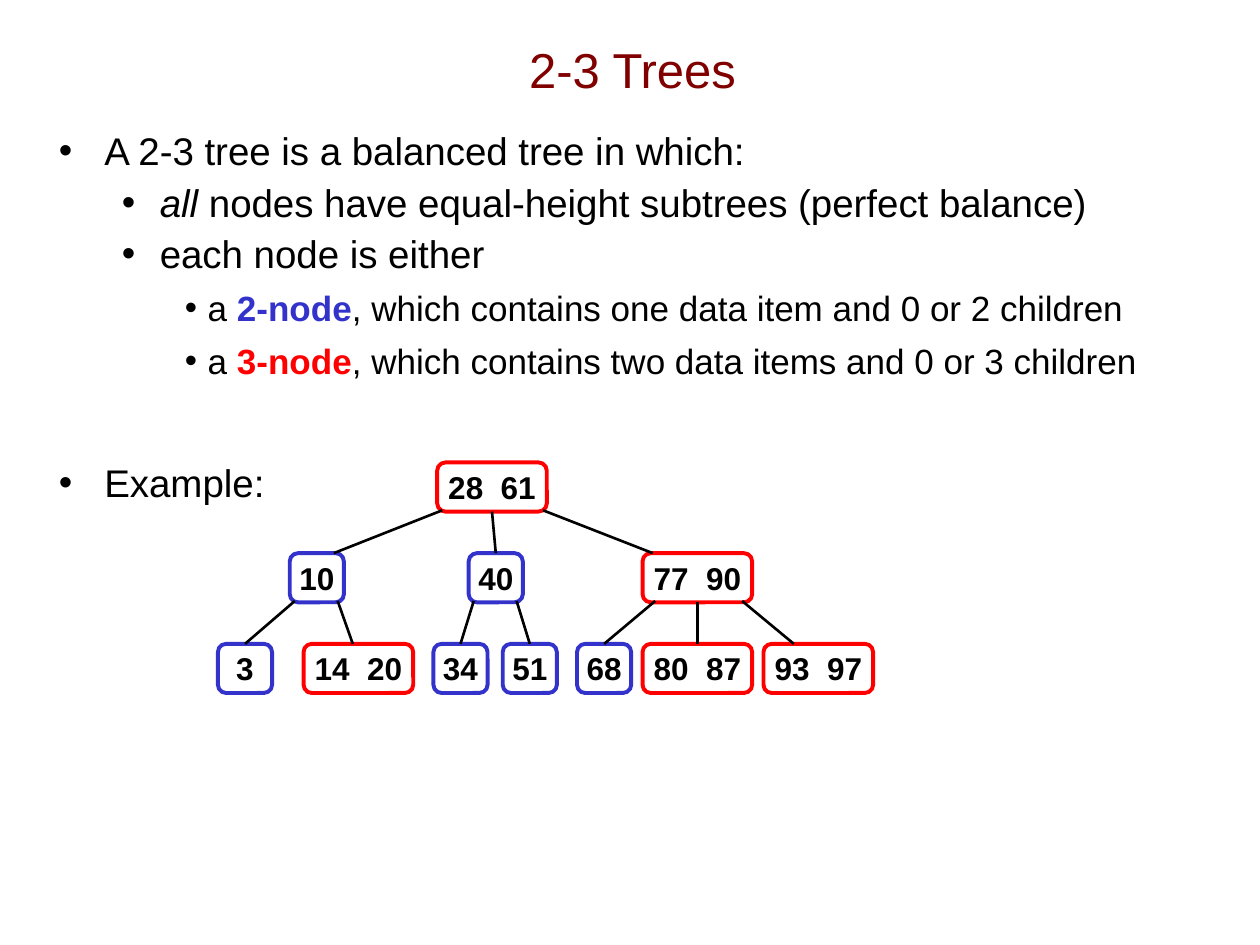
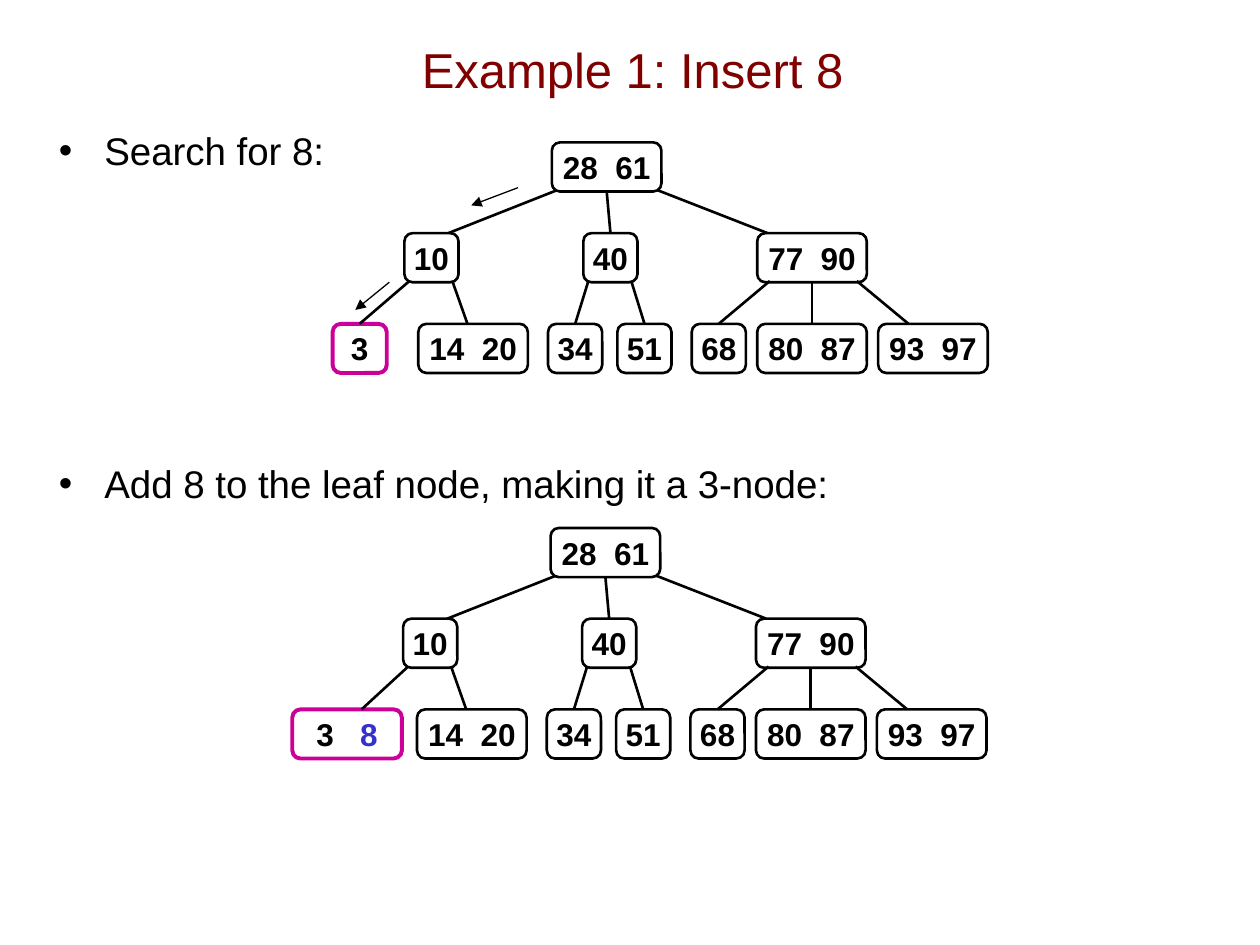
"""Build two slides that introduce 2-3 trees and show an insertion."""
from collections import namedtuple
from dataclasses import dataclass

from lxml import etree
from pptx import Presentation
from pptx import util as u
from pptx.dml.color import RGBColor
from pptx.enum import shapes, text
from pptx.oxml.ns import qn


@dataclass(frozen=True)
class Theme:
    font: str = "Arial"
    title_size: int = 28
    key_size: int = 18
    body_sizes: tuple = (22, 22, 20)
    title: str = "800000"
    ink: str = "000000"
    paper: str = "FFFFFF"
    blue: str = "3333CC"
    red: str = "FF0000"
    magenta: str = "CC0099"
    thick: float = 2.25
    medium: float = 1.5
    thin: float = 0.75


THEME = Theme()
SLIDE_SIZE = (10, 7.5)
TITLE_BOX = (0.43, 0.08, 9.18, 0.93)
BODY_BOX = (0.37, 0.92, 9.63, 6.14)
BODY_TOP_INSET = 0.09
INDENTS = [(0.36, -0.36), (0.8, -0.3), (1.18, -0.18)]

NODE_HEIGHT = 0.39
NODE_WIDTHS = {1: 0.43, 2: 0.87}
LEVEL_PITCH = 0.72
EDGE_START = 0.38
SNAP = 0.03

Node = namedtuple("Node", "keys left level parent start end", defaults=(None, 0, 0))
NODES = {
    "root": Node(("28", "61"), 0, 0),
    "left": Node(("10",), -1.17, 1, "root", 0.04, -0.82),
    "middle": Node(("40",), 0.25, 1, "root", 0.46, 0.46),
    "right": Node(("77", "90"), 1.63, 1, "root", 0.84, 1.71),
    "target": Node(("3",), -1.74, 2, "left", -1.13, -1.5),
    "leaf 14": Node(("14", "20"), -1.06, 2, "left", -0.79, -0.67),
    "leaf 34": Node(("34",), -0.03, 2, "middle", 0.29, 0.17),
    "leaf 51": Node(("51",), 0.52, 2, "middle", 0.63, 0.76),
    "leaf 68": Node(("68",), 1.11, 2, "right", 1.73, 1.35),
    "leaf 80": Node(("80", "87"), 1.63, 2, "right", 2.06, 2.06),
    "leaf 93": Node(("93", "97"), 2.59, 2, "right", 2.42, 2.83),
}
GROWN_NODES = {**NODES, "target": NODES["target"]._replace(keys=("3", "8"), left=-2.05)}
SEARCH_ARROWS = [((-0.27, 0.36), (-0.64, 0.5)), ((-1.29, 1.11), (-1.56, 1.33))]

SLIDES = [
    {
        "title": "2-3 Trees",
        "body": [
            (0, 0, [("A 2-3 tree is a balanced tree in which:", {})]),
            (1, 3, [("all", {"italic": True}),
                    (" nodes have equal-height subtrees (perfect balance)", {})]),
            (1, 3, [("each node is either", {})]),
            (2, 6, [("a ", {}), ("2-node", {"color": THEME.blue, "bold": True}),
                    (", which contains one data item and 0 or 2 children", {})]),
            (2, 6, [("a ", {}), ("3-node", {"color": THEME.red, "bold": True}),
                    (", which contains two data items and 0 or 3 children", {})]),
            (0, 44.5, [("Example:", {})]),
        ],
        "trees": [{"origin": (3.47, 3.67), "nodes": NODES, "by_kind": True}],
    },
    {
        "title": "Example 1: Insert 8",
        "body": [
            (0, 0, [("Search for 8:", {})]),
            (0, 164, [("Add 8 to the leaf node, making it a 3-node:", {})]),
        ],
        "trees": [
            {"origin": (4.38, 1.13), "nodes": NODES, "arrows": SEARCH_ARROWS},
            {"origin": (4.37, 4.19), "nodes": GROWN_NODES},
        ],
    },
]


def inches(values):
    return [u.Inches(value) for value in values]


def add_run(paragraph, words, size, color=THEME.ink, bold=False, italic=False):
    run = paragraph.add_run()
    run.text = words
    font = run.font
    font.name, font.size, font.bold, font.italic = THEME.font, u.Pt(size), bold, italic
    font.color.rgb = RGBColor.from_string(color)
    return run


def add_text_frame(slide, box):
    frame = slide.shapes.add_textbox(*inches(box)).text_frame
    frame.word_wrap = True
    return frame


def add_title(slide, words):
    frame = add_text_frame(slide, TITLE_BOX)
    frame.vertical_anchor = text.MSO_ANCHOR.MIDDLE
    paragraph = frame.paragraphs[0]
    paragraph.alignment = text.PP_ALIGN.CENTER
    add_run(paragraph, words, THEME.title_size, THEME.title)


def add_body(slide, items):
    frame = add_text_frame(slide, BODY_BOX)
    frame.margin_top = u.Inches(BODY_TOP_INSET)
    for index, (level, space, runs) in enumerate(items):
        paragraph = frame.add_paragraph() if index else frame.paragraphs[0]
        paragraph.level = level
        paragraph.space_before = u.Pt(space)
        properties = paragraph._p.get_or_add_pPr()
        margin, indent = inches(INDENTS[level])
        properties.set("marL", str(margin))
        properties.set("indent", str(indent))
        etree.SubElement(properties, qn("a:buFont"), typeface=THEME.font)
        etree.SubElement(properties, qn("a:buChar"), char="•")
        for words, style in runs:
            add_run(paragraph, words, THEME.body_sizes[level], **style)


def add_line(slide, start, end, width, arrow=False):
    connector = slide.shapes.add_connector(
        shapes.MSO_CONNECTOR.STRAIGHT, *inches(start), *inches(end))
    connector.line.width = u.Pt(width)
    connector.line.color.rgb = RGBColor.from_string(THEME.ink)
    properties = connector.element.spPr
    if arrow:
        etree.SubElement(properties.find(qn("a:ln")), qn("a:tailEnd"), type="triangle")
    etree.SubElement(properties, qn("a:effectLst"))
    return connector


def add_node(slide, node, origin, color, width, added):
    left, top = origin[0] + node.left, origin[1] + node.level * LEVEL_PITCH
    shape = slide.shapes.add_shape(
        shapes.MSO_SHAPE.ROUNDED_RECTANGLE,
        *inches((left, top, NODE_WIDTHS[len(node.keys)], NODE_HEIGHT)))
    shape.shadow.inherit = False
    shape.fill.solid()
    shape.fill.fore_color.rgb = RGBColor.from_string(THEME.paper)
    shape.line.color.rgb = RGBColor.from_string(color)
    shape.line.width = u.Pt(width)
    frame = shape.text_frame
    frame.margin_left = frame.margin_right = frame.margin_top = frame.margin_bottom = 0
    frame.word_wrap = False
    frame.vertical_anchor = text.MSO_ANCHOR.MIDDLE
    paragraph = frame.paragraphs[0]
    paragraph.alignment = text.PP_ALIGN.CENTER
    for index, key in enumerate(node.keys):
        if index:
            gap = add_run(paragraph, " ", THEME.key_size, bold=True)
            gap._r.get_or_add_rPr().set("spc", "1000" if added else "500")
        key_color = THEME.blue if added and index else THEME.ink
        add_run(paragraph, key, THEME.key_size, key_color, bold=True)
    return shape


def is_middle(node, x):
    return abs(node.left + NODE_WIDTHS[len(node.keys)] / 2 - x) < SNAP


def add_tree(slide, origin, nodes, by_kind=False, arrows=()):
    def place(x, y):
        return origin[0] + x, origin[1] + y

    drawn = {}
    for name, node in nodes.items():
        is_target = name == "target"
        if by_kind:
            color = THEME.red if len(node.keys) == 2 else THEME.blue
        else:
            color = THEME.magenta if is_target else THEME.ink
        width = THEME.thick if by_kind or is_target else THEME.medium
        added = is_target and len(node.keys) == 2
        drawn[name] = add_node(slide, node, origin, color, width, added)
    for name, node in nodes.items():
        if node.parent is None:
            continue
        parent = nodes[node.parent]
        edge = add_line(slide,
                        place(node.start, parent.level * LEVEL_PITCH + EDGE_START),
                        place(node.end, node.level * LEVEL_PITCH), THEME.medium)
        if is_middle(parent, node.start):
            edge.begin_connect(drawn[node.parent], 2)
        if is_middle(node, node.end):
            edge.end_connect(drawn[name], 0)
    for start, end in arrows:
        add_line(slide, place(*start), place(*end), THEME.thin, arrow=True)


def main():
    presentation = Presentation()
    presentation.slide_width, presentation.slide_height = inches(SLIDE_SIZE)
    for content in SLIDES:
        slide = presentation.slides.add_slide(presentation.slide_layouts[6])
        add_title(slide, content["title"])
        add_body(slide, content["body"])
        for tree in content["trees"]:
            add_tree(slide, **tree)
    presentation.save("out.pptx")


if __name__ == "__main__":
    main()
